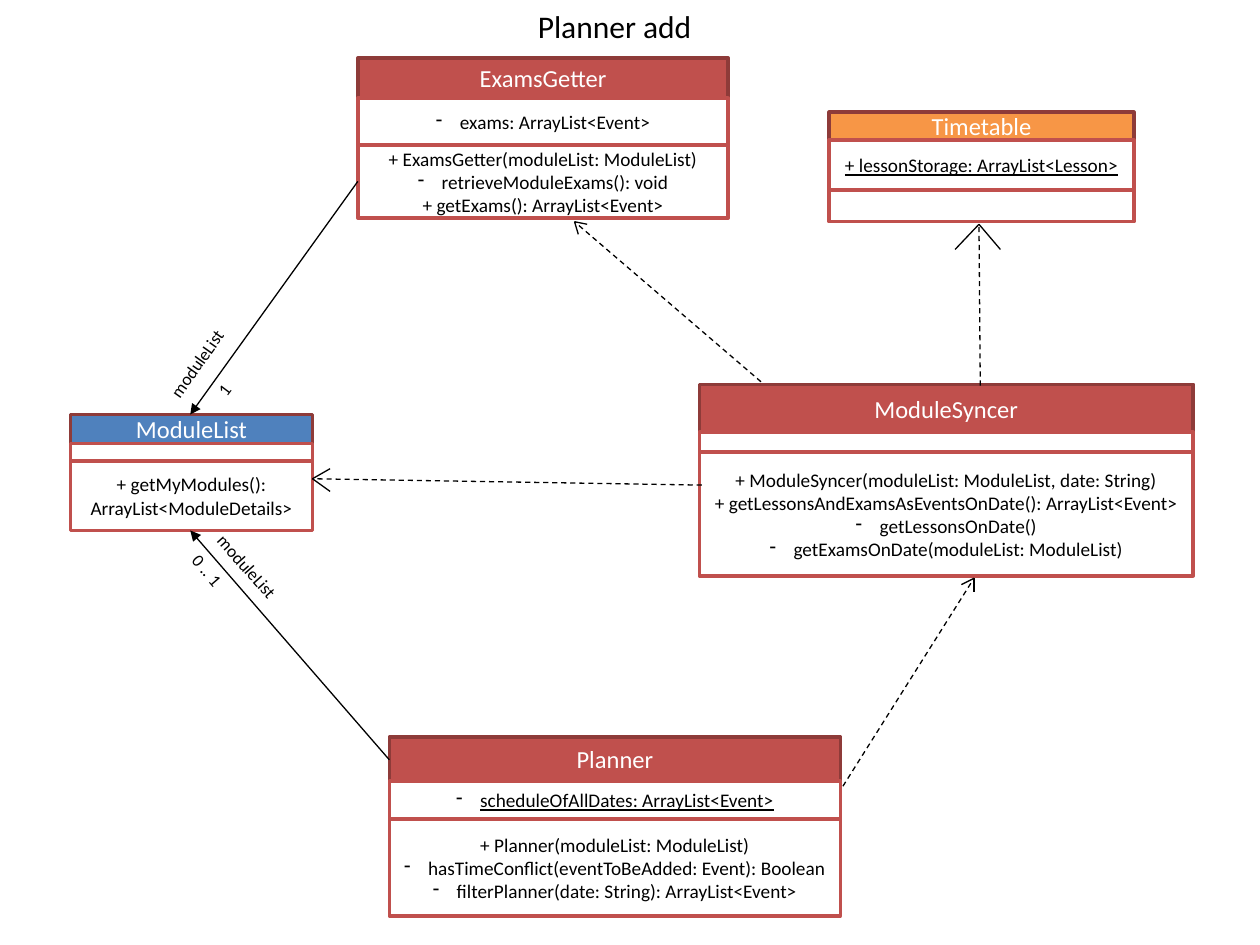
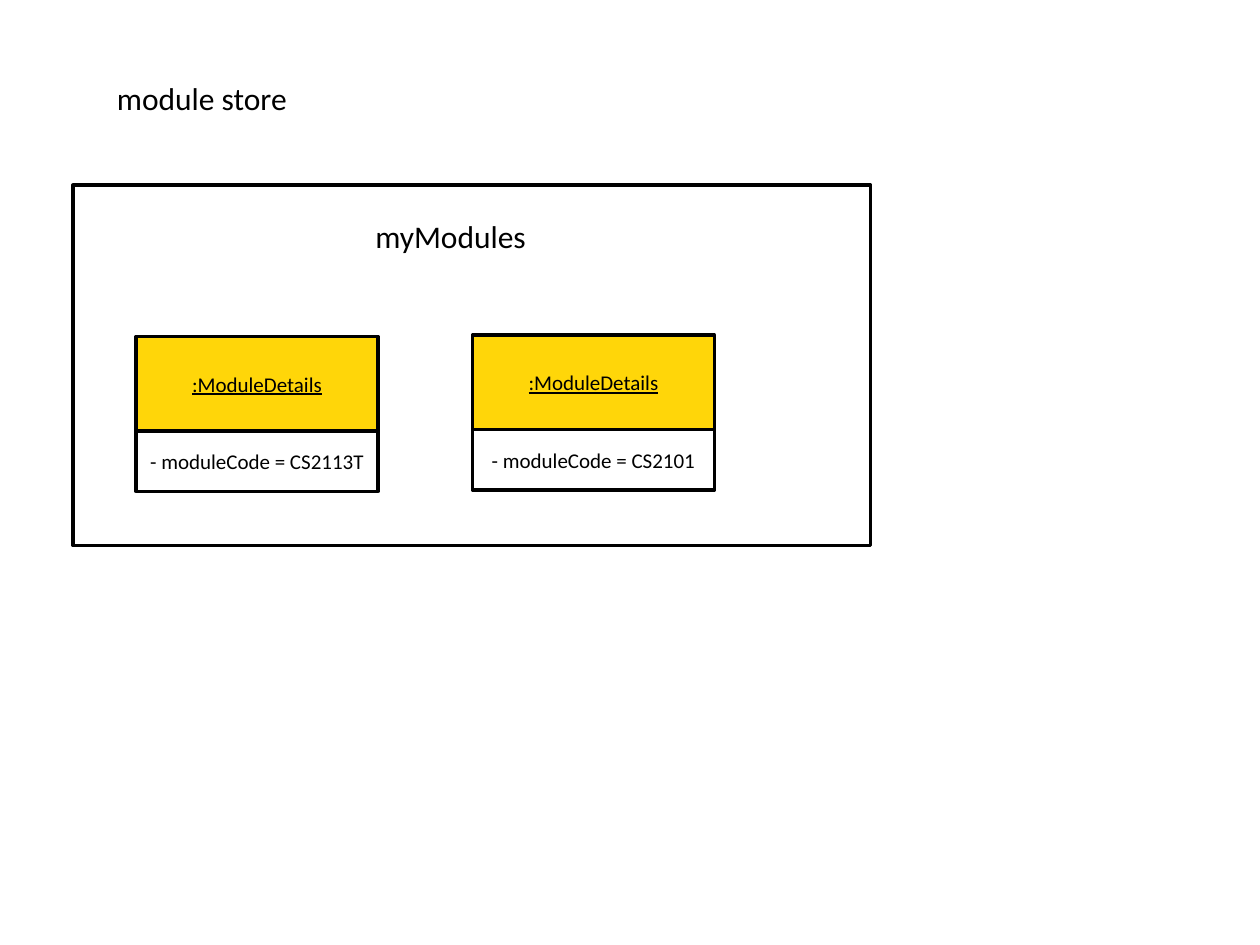
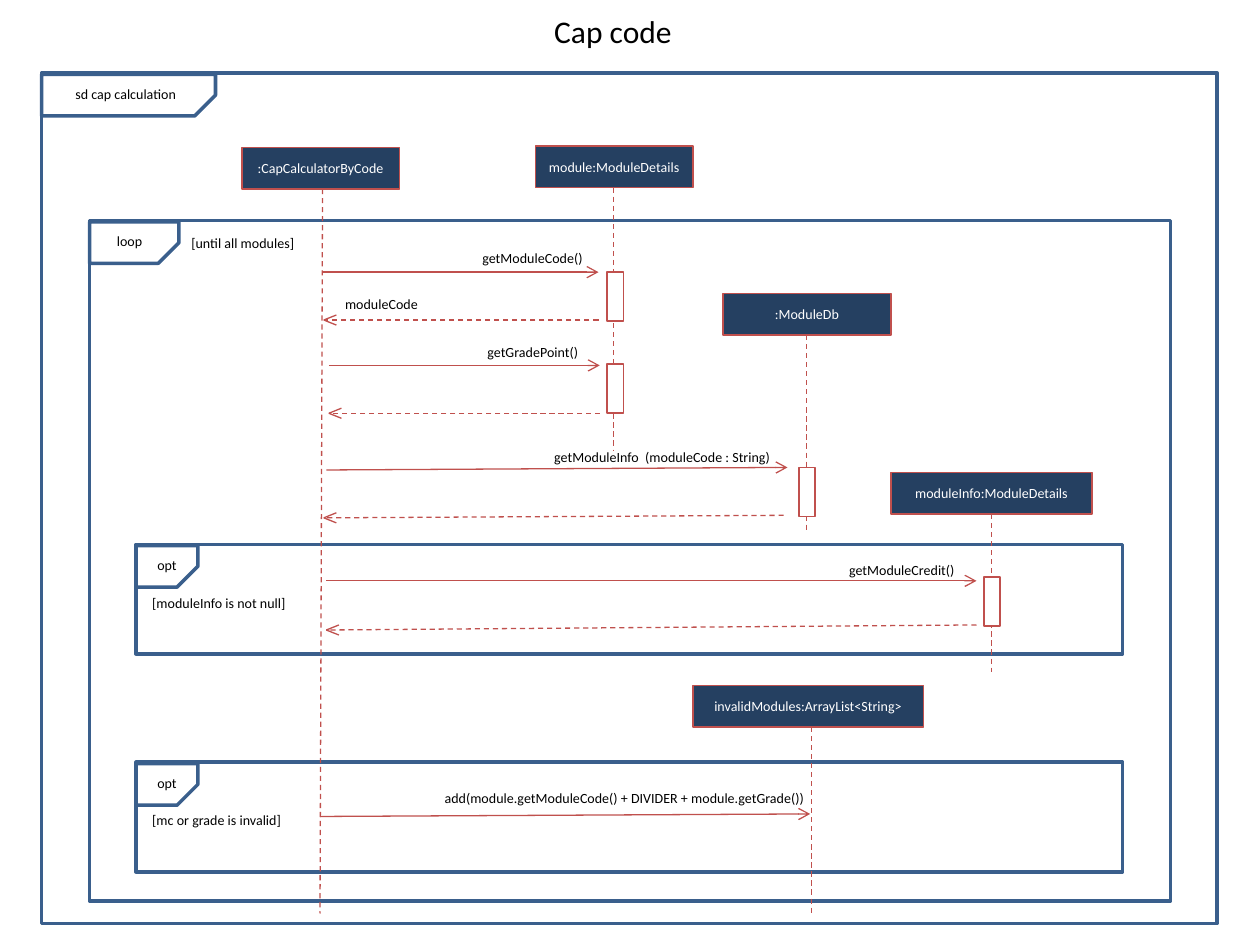
from dataclasses import dataclass
from typing import NamedTuple, Optional

from lxml.etree import SubElement
from pptx import Presentation
from pptx.dml.color import RGBColor
from pptx.enum.dml import MSO_LINE
from pptx.enum.shapes import MSO_CONNECTOR, MSO_SHAPE
from pptx.enum.text import MSO_ANCHOR, MSO_AUTO_SIZE, PP_ALIGN
from pptx.oxml.ns import qn
from pptx.util import Cm, Pt

Point = tuple[float, float]
Box = tuple[float, float, float, float]


@dataclass(frozen=True)
class Theme:
    """Colours, type sizes and line widths of all slides."""
    font: str = "Calibri"
    black: str = "000000"
    white: str = "FFFFFF"
    red: str = "C0504D"
    maroon: str = "8E3B39"
    blue: str = "4F81BD"
    orange: str = "F79646"
    gold: str = "FFD609"
    navy: str = "254061"
    steel: str = "3A5F8C"
    title: float = 18
    head: float = 14
    object: float = 12
    member: float = 11
    label: float = 10
    small: float = 8
    thin: float = 0.75
    edge: float = 1
    thick: float = 2


THEME = Theme()


class Row(NamedTuple):
    """One compartment of a class box; lines led by '- ' are bullets."""
    height: float
    text: str = ""
    underline: bool = False


class Entity(NamedTuple):
    """A class box with a head and two compartments."""
    name: str
    left: float
    top: float
    width: float
    head: float
    fill: str
    rows: tuple[Row, Row]


class Use(NamedTuple):
    """A dashed dependency, with the free ends of its open arrowhead."""
    start: Point
    tip: Point
    wings: tuple[Point, Point]


class Frame(NamedTuple):
    """A sequence frame, its tab size and the place of its label."""
    box: Box
    tab: float
    text: str
    label: Point


class Actor(NamedTuple):
    """A sequence participant, the x of its lifeline and where that ends."""
    name: str
    left: float
    top: float
    width: float
    axis: float
    foot: Point


class Call(NamedTuple):
    """A message with its label box, and the reply if there is one."""
    text: str
    label: Point
    width: float
    start: Point
    tip: Point
    reply: Optional[tuple[Point, Point]] = None


def inch(value: float) -> Cm:
    """Turn the inch grid of the slides into a length."""
    return Cm(value * 2.54)


def rgb(code: str) -> RGBColor:
    """Turn a hex code into a colour."""
    return RGBColor.from_string(code)


def write(frame, text: str, *, size: float, color: str = THEME.black,
          align=PP_ALIGN.LEFT, underline: bool = False,
          bullets: bool = False) -> None:
    """Fill a text frame, one paragraph a line, in the given format."""
    for i, line in enumerate(text.split("\n")):
        para = frame.add_paragraph() if i else frame.paragraphs[0]
        para.alignment = align
        if bullets and line.startswith("- "):
            line = line[2:]
            props = para._p.get_or_add_pPr()
            props.set("marL", str(inch(0.19)))
            props.set("indent", str(-inch(0.19)))
            SubElement(props, qn("a:buFontTx"))
            SubElement(props, qn("a:buChar")).set("char", "-")
        run = para.add_run()
        run.text = line
        font = run.font
        font.name, font.size = THEME.font, Pt(size)
        font.color.rgb = rgb(color)
        if underline:
            font.underline = True


def label(shapes, text: str, box: Box, *, turn: float = 0, wrap: bool = True,
          grow: bool = True, **style) -> None:
    """Add a text box, turned by some degrees if asked."""
    item = shapes.add_textbox(*map(inch, box))
    item.rotation = turn
    frame = item.text_frame
    frame.word_wrap = wrap
    if grow:
        frame.auto_size = MSO_AUTO_SIZE.SHAPE_TO_FIT_TEXT
    else:
        frame.vertical_anchor = MSO_ANCHOR.MIDDLE
    write(frame, text, **style)


def shape(shapes, box: Box, *, fill: str = "", line: str = "",
          width: float = THEME.thick, kind=MSO_SHAPE.RECTANGLE,
          text: str = "", **style):
    """Add a flat shape with optional fill, outline and centred text."""
    item = shapes.add_shape(kind, *map(inch, box))
    item.shadow.inherit = False
    if fill:
        item.fill.solid()
        item.fill.fore_color.rgb = rgb(fill)
    else:
        item.fill.background()
    if line:
        item.line.color.rgb = rgb(line)
        item.line.width = Pt(width)
    else:
        item.line.fill.background()
    if text:
        item.text_frame.vertical_anchor = MSO_ANCHOR.MIDDLE
        write(item.text_frame, text, align=PP_ALIGN.CENTER, **style)
    return item


def link(shapes, start: Point, end: Point, *, color: str = THEME.black,
         dash: bool = False, head: str = "") -> None:
    """Draw a thin line, dashed or with an arrowhead if asked."""
    item = shapes.add_connector(MSO_CONNECTOR.STRAIGHT,
                                *map(inch, (*start, *end)))
    item.line.color.rgb = rgb(color)
    item.line.width = Pt(THEME.thin)
    if dash:
        item.line.dash_style = MSO_LINE.DASH
    props = item.element.spPr
    if head:
        SubElement(props.get_or_add_ln(), qn("a:tailEnd")).set("type", head)
    SubElement(props, qn("a:effectLst"))


def depend(shapes, use: Use, color: str = THEME.black) -> None:
    """Draw a dashed line with an open arrowhead as one group."""
    group = shapes.add_group_shape().shapes
    link(group, use.start, use.tip, color=color, dash=True)
    for wing in use.wings:
        link(group, use.tip, wing, color=color)


def entity(shapes, item: Entity) -> None:
    """Stack the head and compartments of a class box."""
    group = shapes.add_group_shape().shapes
    shape(group, (item.left, item.top, item.width, item.head), fill=item.fill,
          line=THEME.maroon, text=item.name, size=THEME.head,
          color=THEME.white)
    top = item.top + item.head
    for row in item.rows:
        shape(group, (item.left, top, item.width, row.height),
              fill=THEME.white, line=THEME.red, text=row.text,
              size=THEME.member, underline=row.underline, bullets=True)
        top += row.height


def record(shapes, left: float, top: float, text: str) -> None:
    """Draw a module object with its code."""
    group = shapes.add_group_shape().shapes
    head = (left, top, 1.92, 0.75)
    body = (left, top + 0.75, 1.92, 0.48)
    label(group, text, body, grow=False, size=THEME.object,
          align=PP_ALIGN.CENTER)
    shape(group, head, fill=THEME.gold, text=":ModuleDetails",
          size=THEME.object, underline=True)
    for box in (body, head):
        shape(group, box, line=THEME.black)


def fence(shapes, item: Frame) -> None:
    """Draw a sequence frame with its snipped tab and label."""
    left, top = item.box[:2]
    shape(shapes, item.box, line=THEME.steel)
    tab = shape(shapes, (left, top + 0.01, item.tab, 0.33),
                line=THEME.steel, kind=MSO_SHAPE.SNIP_1_RECTANGLE)
    tab.adjustments[0] = 0.5
    tab.rotation = 180
    tab.element.spPr.xfrm.set("flipH", "1")
    label(shapes, item.text, (*item.label, 1.04, 0.24), size=THEME.small)


def actor(shapes, item: Actor) -> None:
    """Draw a participant and its lifeline."""
    high = 0.33
    shape(shapes, (item.left, item.top, item.width, high), fill=THEME.navy,
          line=THEME.red, width=THEME.edge, text=item.name, size=THEME.small,
          color=THEME.white)
    link(shapes, (item.axis, item.top + high), item.foot, color=THEME.red,
         dash=True)


def call(shapes, item: Call) -> None:
    """Draw a message, its label and its reply."""
    link(shapes, item.start, item.tip, color=THEME.red, head="arrow")
    label(shapes, item.text, (*item.label, item.width, 0.24),
          size=THEME.small)
    if item.reply:
        start, (x, y) = item.reply
        wings = ((x + 0.1, y - 0.04), (x + 0.1, y + 0.04))
        depend(shapes, Use(start, (x, y), wings), THEME.red)


ENTITIES = (
    Entity("Planner", 3.09, 5.85, 3.58, 0.35, THEME.red, (
        Row(0.3, "- scheduleOfAllDates: ArrayList<Event>", True),
        Row(0.77, "+ Planner(moduleList: ModuleList)\n"
                  "- hasTimeConflict(eventToBeAdded: Event): Boolean\n"
                  "- filterPlanner(date: String): ArrayList<Event>"))),
    Entity("ModuleList", 0.56, 3.29, 1.92, 0.23, THEME.blue, (
        Row(0.14),
        Row(0.55, "+ getMyModules(): ArrayList<ModuleDetails>"))),
    Entity("ModuleSyncer", 5.55, 3.05, 3.92, 0.38, THEME.red, (
        Row(0.16),
        Row(0.98, "+ ModuleSyncer(moduleList: ModuleList, date: String)\n"
                  "+ getLessonsAndExamsAsEventsOnDate(): ArrayList<Event>\n"
                  "- getLessonsOnDate()\n"
                  "- getExamsOnDate(moduleList: ModuleList)"))),
    Entity("Timetable", 6.58, 0.89, 2.42, 0.22, THEME.orange, (
        Row(0.4, "+ lessonStorage: ArrayList<Lesson>", True),
        Row(0.25))),
    Entity("ExamsGetter", 2.84, 0.46, 2.94, 0.32, THEME.red, (
        Row(0.37, "- exams: ArrayList<Event>"),
        Row(0.58, "+ ExamsGetter(moduleList: ModuleList)\n"
                  "- retrieveModuleExams(): void\n"
                  "+ getExams(): ArrayList<Event>"))),
)
OWNERS = (((3.09, 6.03), (1.51, 4.21)), ((2.84, 1.44), (1.51, 3.29)))
USES = (
    Use((5.57, 3.85), (2.48, 3.8), ((2.62, 3.72), (2.62, 3.9))),
    Use((7.78, 3.06), (7.77, 1.78), ((7.94, 1.98), (7.58, 1.98))),
    Use((6.04, 3.03), (4.56, 1.76), ((4.66, 1.78), (4.59, 1.86))),
    Use((6.69, 6.24), (7.73, 4.59), ((7.73, 4.7), (7.63, 4.64))),
)
ROLES = (
    ("0 .. 1", (1.37, 4.48, 0.7, 0.27), 49.3),
    ("moduleList", (1.54, 4.39, 0.89, 0.27), 48.4),
    ("1", (1.56, 2.79, 0.7, 0.27), 306.9),
    ("moduleList", (1.14, 2.72, 0.89, 0.27), 305.2),
)
FRAMES = (
    Frame((0.33, 0.58, 9.33, 6.75), 1.38, "sd cap calculation", (0.5, 0.63)),
    Frame((0.71, 1.75, 8.58, 5.4), 0.71, "loop", (0.83, 1.8)),
    Frame((1.08, 4.32, 7.83, 0.87), 0.49, "opt", (1.15, 4.37)),
    Frame((1.08, 6.05, 7.83, 0.87), 0.49, "opt", (1.15, 6.1)),
)
ACTORS = (
    Actor("module:ModuleDetails", 4.25, 1.16, 1.25, 4.87, (4.87, 3.58)),
    Actor("moduleInfo:ModuleDetails", 7.07, 3.75, 1.6, 7.87, (7.87, 5.33)),
    Actor(":CapCalculatorByCode", 1.92, 1.17, 1.25, 2.56, (2.54, 7.25)),
    Actor(":ModuleDb", 5.74, 2.33, 1.33, 6.4, (6.4, 4.23)),
    Actor("invalidModules:ArrayList<String>", 5.5, 5.44, 1.83, 6.44,
          (6.44, 7.25)),
)
BARS = ((4.82, 2.16), (4.82, 2.89), (6.34, 3.71), (7.81, 4.58))
CALLS = (
    Call("getModuleCode()", (3.73, 1.93), 1.27, (2.56, 2.16), (4.75, 2.16),
         ((4.75, 2.54), (2.57, 2.54))),
    Call("getGradePoint()", (3.77, 2.68), 1.27, (2.61, 2.9), (4.76, 2.9),
         ((4.76, 3.28), (2.61, 3.28))),
    Call("getModuleInfo  (moduleCode : String)", (4.3, 3.51), 2.01,
         (2.59, 3.73), (6.25, 3.71), ((6.22, 4.09), (2.57, 4.11))),
    Call("getModuleCredit()", (6.64, 4.41), 1.36, (2.59, 4.61), (7.75, 4.61),
         ((7.75, 4.96), (2.59, 5))),
    Call("add(module.getModuleCode() + DIVIDER + module.getGrade())",
         (3.43, 6.22), 3.11, (2.54, 6.48), (6.43, 6.46)),
)
NOTES = (
    ("[until all modules]", (1.42, 1.81, 1.07, 0.24)),
    ("moduleCode", (2.64, 2.3, 1.47, 0.24)),
    ("[moduleInfo is not null]", (1.11, 4.67, 1.36, 0.24)),
    ("[mc or grade is invalid]", (1.11, 6.39, 1.36, 0.24)),
)


def planner(shapes) -> None:
    """Draw the class diagram of the planner."""
    label(shapes, "Planner add", (4.17, 0.01, 1.44, 0.4), wrap=False,
          size=THEME.title)
    for item in ENTITIES:
        entity(shapes, item)
    for start, end in OWNERS:
        link(shapes, start, end, head="triangle")
    for use in USES:
        depend(shapes, use)
    for text, box, turn in ROLES:
        label(shapes, text, box, turn=turn, size=THEME.label)


def store(shapes) -> None:
    """Draw the object diagram of the module store."""
    shape(shapes, (0.58, 1.47, 6.33, 2.86), fill=THEME.white,
          line=THEME.black)
    label(shapes, "module store", (0.83, 0.58, 6.67, 0.4), size=THEME.title)
    label(shapes, "myModules", (2.88, 1.67, 1.75, 0.4), size=THEME.title)
    record(shapes, 1.08, 2.67, "- moduleCode = CS2113T")
    record(shapes, 3.75, 2.66, "- moduleCode = CS2101")


def sequence(shapes) -> None:
    """Draw the sequence diagram of the cap calculation."""
    for item in FRAMES:
        fence(shapes, item)
    for item in ACTORS:
        actor(shapes, item)
    for left, top in BARS:
        shape(shapes, (left, top, 0.13, 0.39), fill=THEME.white,
              line=THEME.red, width=THEME.edge)
    for item in CALLS:
        call(shapes, item)
    for text, box in NOTES:
        label(shapes, text, box, size=THEME.small)
    label(shapes, "Cap code", (4.3, 0.05, 1.15, 0.4), wrap=False,
          size=THEME.title)


def main() -> None:
    """Build and save the slides."""
    deck = Presentation()
    deck.slide_width, deck.slide_height = Cm(25.4), Cm(19.05)
    for draw in (planner, store, sequence):
        draw(deck.slides.add_slide(deck.slide_layouts[6]).shapes)
    deck.save("out.pptx")


main()
